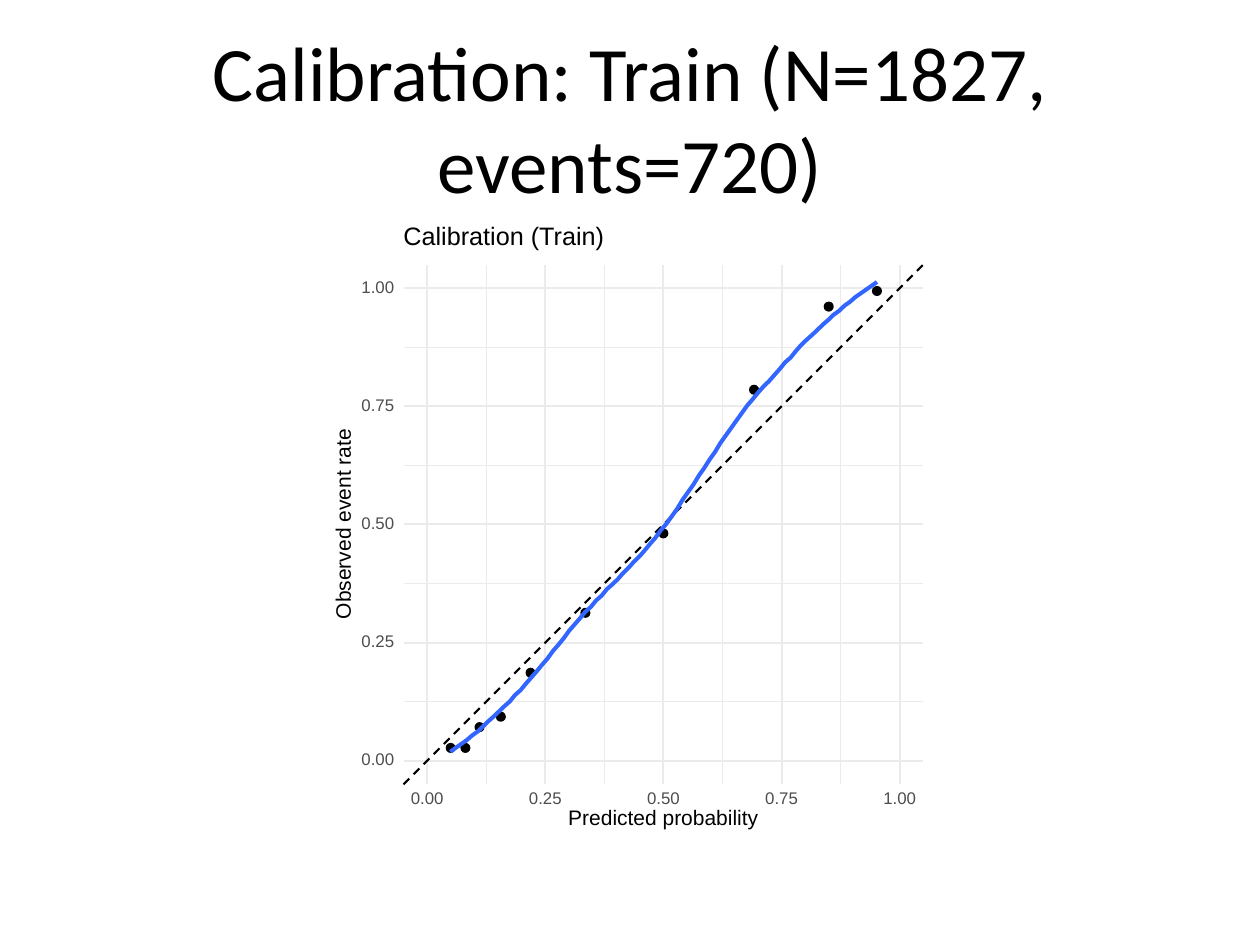
from dataclasses import dataclass

from lxml import etree
from pptx import Presentation
from pptx.dml.color import RGBColor
from pptx.enum.dml import MSO_LINE
from pptx.enum.shapes import MSO_CONNECTOR, MSO_SHAPE
from pptx.enum.text import MSO_ANCHOR, PP_ALIGN
from pptx.oxml.ns import qn
from pptx.shapes.group import GroupShape
from pptx.util import Pt

STRAIGHT = MSO_CONNECTOR.STRAIGHT
RECTANGLE = MSO_SHAPE.RECTANGLE
OVAL = MSO_SHAPE.OVAL
DASH = MSO_LINE.DASH
MIDDLE = MSO_ANCHOR.MIDDLE
CENTER = PP_ALIGN.CENTER
TITLE_ONLY = 5

COLORS = {
    "paper": "FFFFFF",
    "ink": "000000",
    "grid": "EBEBEB",
    "tick": "4D4D4D",
    "trend": "3366FF",
}

ORIGIN_X = 244.1
ORIGIN_Y = 434.7
POINTS_PER_PERCENT = 2.7
AXIS_MIN, AXIS_MAX = -5, 105
MAJOR_TICKS = range(0, 101, 25)
MINOR_TICKS = [tick + 12.5 for tick in MAJOR_TICKS[:-1]]
MINOR_WIDTH, MAJOR_WIDTH, TREND_WIDTH = 0.58, 1.16, 2.33
DOT_SIZE = 5
TICK_SIZE = 9.6
TICK_WIDTH, TICK_HEIGHT = 18.7, 7

OBSERVED_RATES = [
    (5.0, 2.7), (8.1, 2.7), (11.1, 7.1), (15.6, 9.3), (21.9, 18.6),
    (33.5, 31.3), (50.0, 48.1), (69.2, 78.5), (85.0, 96.1), (95.2, 99.4),
]
TREND_START, TREND_END = 4.9, 95.2
TREND_RATES = [
    1.9, 2.7, 3.5, 4.3, 5.3, 6.1, 7.2, 8.3, 9.3, 10.4,
    11.5, 12.5, 13.9, 14.9, 16.3, 17.6, 18.9, 20.3, 21.6, 23.2,
    24.5, 25.9, 27.5, 28.8, 30.1, 31.5, 32.5, 33.9, 34.9, 36.3,
    37.3, 38.4, 39.7, 40.8, 42.1, 43.2, 44.5, 45.9, 47.2, 48.8,
    50.1, 51.7, 53.3, 55.2, 56.8, 58.4, 60.3, 61.9, 63.7, 65.3,
    67.2, 68.8, 70.4, 72.0, 73.6, 75.2, 76.5, 77.9, 79.2, 80.3,
    81.6, 82.9, 84.3, 85.3, 86.7, 88.0, 89.1, 90.1, 91.2, 92.3,
    93.3, 94.4, 95.2, 96.3, 97.1, 98.1, 98.9, 99.7, 100.5, 101.3,
]


@dataclass(frozen=True)
class Label:
    text: str
    left: float
    top: float
    width: float
    height: float
    size: float = TICK_SIZE
    color: str = "tick"
    rotation: int = 0


def rgb(name: str) -> RGBColor:
    return RGBColor.from_string(COLORS[name])


def plot_x(percent: float) -> Pt:
    return Pt(ORIGIN_X + percent * POINTS_PER_PERCENT)


def plot_y(percent: float) -> Pt:
    return Pt(ORIGIN_Y - percent * POINTS_PER_PERCENT)


def draw_background(plot: GroupShape, left: float, width: float) -> None:
    background = plot.shapes.add_shape(
        RECTANGLE, Pt(left), Pt(126), Pt(width), Pt(356.4))
    background.shadow.inherit = False
    background.fill.solid()
    background.fill.fore_color.rgb = rgb("paper")
    background.line.color.rgb = rgb("paper")
    background.line.width = Pt(0.75)


def draw_line(plot: GroupShape, start: tuple[float, float],
              end: tuple[float, float], color: str, width: float,
              dashed: bool = False) -> None:
    rule = plot.shapes.add_connector(
        STRAIGHT, plot_x(start[0]), plot_y(start[1]),
        plot_x(end[0]), plot_y(end[1]))
    rule.line.color.rgb = rgb(color)
    rule.line.width = Pt(width)
    if dashed:
        rule.line.dash_style = DASH
    etree.SubElement(rule._element.spPr, qn("a:effectLst"))


def draw_grid(plot: GroupShape, ticks: list[float], width: float) -> None:
    for tick in ticks:
        draw_line(plot, (AXIS_MIN, tick), (AXIS_MAX, tick), "grid", width)
    for tick in ticks:
        draw_line(plot, (tick, AXIS_MIN), (tick, AXIS_MAX), "grid", width)


def draw_dot(plot: GroupShape, predicted: float, observed: float) -> None:
    radius = Pt(DOT_SIZE / 2)
    dot = plot.shapes.add_shape(
        OVAL, plot_x(predicted) - radius, plot_y(observed) - radius,
        Pt(DOT_SIZE), Pt(DOT_SIZE))
    dot.shadow.inherit = False
    dot.fill.solid()
    dot.fill.fore_color.rgb = rgb("ink")
    dot.line.color.rgb = rgb("ink")
    dot.line.width = Pt(0.77)


def draw_trend(plot: GroupShape) -> None:
    step = (TREND_END - TREND_START) / (len(TREND_RATES) - 1)
    vertices = [(plot_x(TREND_START + i * step), plot_y(rate))
                for i, rate in enumerate(TREND_RATES)]
    outline = plot.shapes.build_freeform(*vertices[0])
    outline.add_line_segments(vertices[1:], close=False)
    trend = outline.convert_to_shape()
    trend.shadow.inherit = False
    trend.fill.background()
    trend.line.color.rgb = rgb("trend")
    trend.line.width = Pt(TREND_WIDTH)


def draw_label(plot: GroupShape, label: Label) -> None:
    box = plot.shapes.add_textbox(
        Pt(label.left), Pt(label.top), Pt(label.width), Pt(label.height))
    box.rotation = label.rotation
    frame = box.text_frame
    frame.margin_left = frame.margin_right = 0
    frame.margin_top = frame.margin_bottom = 0
    frame.word_wrap = False
    frame.vertical_anchor = MIDDLE
    frame.text = label.text
    paragraph = frame.paragraphs[0]
    paragraph.line_spacing = Pt(label.size)
    font = paragraph.runs[0].font
    font.name = "Arial"
    font.size = Pt(label.size)
    font.color.rgb = rgb(label.color)


def plot_labels() -> list[Label]:
    offsets = [(f"{tick / 100:.2f}", tick * POINTS_PER_PERCENT)
               for tick in MAJOR_TICKS]
    y_ticks = [Label(text, 206.6, 431.2 - offset, TICK_WIDTH, TICK_HEIGHT)
               for text, offset in offsets]
    x_ticks = [Label(text, 234.8 + offset, 453.4, TICK_WIDTH, TICK_HEIGHT)
               for text, offset in offsets]
    return y_ticks + x_ticks + [
        Label("Predicted probability", 324.7, 463, 108.7, 10.8, 12, "ink"),
        Label("Observed event rate", 142.6, 295.2, 108.7, 8.6, 12, "ink", 270),
        Label("Calibration (Train)", 230.6, 128.9, 115.2, 13.7, 14.4, "ink"),
    ]


def main() -> None:
    deck = Presentation()
    deck.slide_width, deck.slide_height = Pt(720), Pt(540)
    slide = deck.slides.add_slide(deck.slide_layouts[TITLE_ONLY])

    heading = slide.shapes.title
    heading.left, heading.top = Pt(36), Pt(21.6)
    heading.width, heading.height = Pt(648), Pt(90)
    heading.text_frame.text = "Calibration: Train (N=1827, events=720)"
    heading.text_frame.vertical_anchor = MIDDLE
    paragraph = heading.text_frame.paragraphs[0]
    paragraph.alignment = CENTER
    font = paragraph.runs[0].font
    font.name = "Calibri"
    font.size = Pt(44)
    font.color.rgb = rgb("ink")

    plot = slide.shapes.add_group_shape()
    draw_background(plot, 36, 648)
    draw_background(plot, 186.5, 347)
    draw_grid(plot, MINOR_TICKS, MINOR_WIDTH)
    draw_grid(plot, MAJOR_TICKS, MAJOR_WIDTH)
    draw_line(plot, (AXIS_MIN, AXIS_MIN), (AXIS_MAX, AXIS_MAX),
              "ink", MAJOR_WIDTH, dashed=True)
    for predicted, observed in OBSERVED_RATES:
        draw_dot(plot, predicted, observed)
    draw_trend(plot)
    for label in plot_labels():
        draw_label(plot, label)

    deck.save("out.pptx")


if __name__ == "__main__":
    main()
